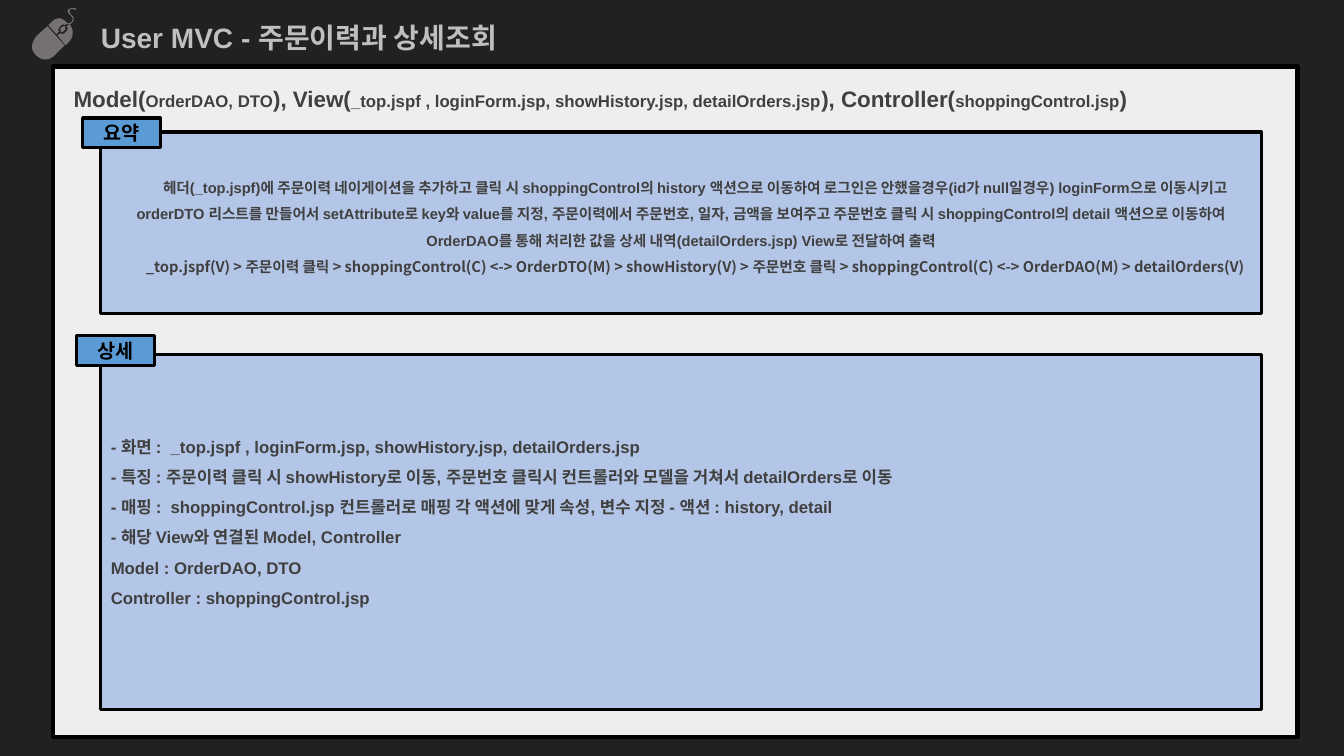
from dataclasses import dataclass

from lxml import etree
from pptx import Presentation
from pptx import util as u
from pptx.dml import color
from pptx.enum import shapes, text
from pptx.oxml import ns


@dataclass(frozen=True)
class Theme:
    background: str = "212121"
    panel: str = "EEEEEE"
    section: str = "B4C6E7"
    tag: str = "5B9BD5"
    outline: str = "000000"
    title: str = "BFBFBF"
    body: str = "404040"
    mouse: str = "767171"
    latin: str = "Arial"
    korean: str = "Noto Sans CJK KR"
    title_size: float = 20
    heading_size: float = 16
    tag_size: float = 14
    body_size: float = 12
    summary_size: float = 10.5


theme = Theme()


def add_run(paragraph, words, size, ink=theme.body, font=theme.latin):
    run = paragraph.add_run()
    run.text = words
    run.font.size = u.Pt(size)
    run.font.bold = True
    run.font.name = font
    run.font.color.rgb = color.RGBColor.from_string(ink)
    east_asian = etree.SubElement(run.font._element, ns.qn("a:ea"))
    east_asian.set("typeface", theme.korean)


def add_box(left, top, width, height, fill, line_width):
    shape = slide.shapes.add_shape(
        shapes.MSO_SHAPE.RECTANGLE,
        u.Inches(left), u.Inches(top), u.Inches(width), u.Inches(height))
    shape.shadow.inherit = False
    shape.fill.solid()
    shape.fill.fore_color.rgb = color.RGBColor.from_string(fill)
    shape.line.color.rgb = color.RGBColor.from_string(theme.outline)
    shape.line.width = u.Pt(line_width)
    shape.text_frame.word_wrap = True
    shape.text_frame.vertical_anchor = text.MSO_ANCHOR.MIDDLE
    return shape


presentation = Presentation()
presentation.slide_width = u.Inches(13.33)
presentation.slide_height = u.Inches(7.5)
slide = presentation.slides.add_slide(presentation.slide_layouts[5])
slide.background.fill.solid()
slide.background.fill.fore_color.rgb = color.RGBColor.from_string(theme.background)

# Title
title = slide.shapes.title
title.left, title.top = u.Inches(0.9), u.Inches(0.11)
title.width, title.height = u.Inches(5.28), u.Inches(0.48)
title.text_frame.vertical_anchor = text.MSO_ANCHOR.TOP
title.text_frame.auto_size = text.MSO_AUTO_SIZE.NONE
paragraph = title.text_frame.paragraphs[0]
paragraph.alignment = text.PP_ALIGN.LEFT
paragraph.line_spacing = 1.14
add_run(paragraph, "User MVC - 주문이력과 상세조회", theme.title_size, theme.title)

# Main panel with the list of files
panel = add_box(0.53, 0.66, 12.34, 6.65, theme.panel, 3)
panel.text_frame.vertical_anchor = text.MSO_ANCHOR.TOP
panel.text_frame.margin_left = u.Inches(0.2)
paragraph = panel.text_frame.paragraphs[0]
paragraph.alignment = text.PP_ALIGN.LEFT
paragraph.line_spacing = 1.5
for words, size in [
    ("Model(", theme.heading_size),
    ("OrderDAO, DTO", theme.body_size),
    ("), View(", theme.heading_size),
    ("_top.jspf , loginForm.jsp, showHistory.jsp, detailOrders.jsp", theme.body_size),
    ("), Controller(", theme.heading_size),
    ("shoppingControl.jsp", theme.body_size),
    (")", theme.heading_size),
]:
    add_run(paragraph, words, size)

# Mouse icon: wheel, body, right button, left button, cable (hundredths of an inch)
mouse_outlines = [
    [(64, 26), (65, 27), (65, 29), (62, 32), (61, 32), (60, 30), (60, 28), (63, 26)],
    [(47, 26), (64, 45), (53, 56), (50, 58), (47, 59), (43, 59), (40, 58), (37, 56),
     (34, 53), (32, 49), (32, 44), (33, 41), (36, 36)],
    [(69, 24), (71, 27), (72, 30), (72, 35), (71, 38), (69, 41), (65, 45), (57, 35),
     (60, 33), (62, 34), (64, 33), (66, 31), (67, 29), (67, 27), (66, 26)],
    [(59, 18), (62, 19), (65, 21), (67, 23), (65, 25), (63, 24), (61, 25), (59, 27),
     (58, 29), (58, 31), (59, 31), (56, 34), (48, 25), (52, 21), (55, 19)],
    [(71, 8), (74, 8), (76, 9), (75, 10), (73, 9), (70, 9), (69, 10), (69, 12),
     (71, 15), (73, 17), (73, 20), (72, 22), (70, 24), (68, 24), (67, 23), (69, 23),
     (71, 22), (72, 20), (72, 18), (70, 15), (68, 13), (67, 11), (68, 9)],
]
builder = slide.shapes.build_freeform(*mouse_outlines[0][0], scale=u.Inches(0.01))
for outline in mouse_outlines:
    builder.move_to(*outline[0])
    builder.add_line_segments(outline[1:], close=True)
mouse = builder.convert_to_shape()
mouse.shadow.inherit = False
mouse.fill.solid()
mouse.fill.fore_color.rgb = color.RGBColor.from_string(theme.mouse)
mouse.line.fill.background()

# Sections: box, tag, text lines with their fonts
summary = [
    ("헤더(_top.jspf)에 주문이력 네이게이션을 추가하고 클릭 시 shoppingControl의 history 액션으로 "
     "이동하여 로그인은 안했을경우(id가 null일경우) loginForm으로 이동시키고 orderDTO 리스트를 "
     "만들어서 setAttribute로 key와 value를 지정, 주문이력에서 주문번호, 일자, 금액을 보여주고 "
     "주문번호 클릭 시 shoppingControl의 detail 액션으로 이동하여 OrderDAO를 통해 처리한 값을 "
     "상세 내역(detailOrders.jsp) View로 전달하여 출력", theme.latin),
    ("_top.jspf(V) > 주문이력 클릭 > shoppingControl(C) <-> OrderDTO(M) > showHistory(V) > "
     "주문번호 클릭 > shoppingControl(C) <-> OrderDAO(M) > detailOrders(V)", theme.korean),
]
details = [(line, theme.latin) for line in [
    "- 화면 :  _top.jspf , loginForm.jsp, showHistory.jsp, detailOrders.jsp",
    "- 특징 : 주문이력 클릭 시 showHistory로 이동, 주문번호 클릭시 컨트롤러와 모델을 거쳐서 "
    "detailOrders로 이동",
    "- 매핑 :  shoppingControl.jsp 컨트롤러로 매핑 각 액션에 맞게 속성, 변수 지정 - 액션 : "
    "history, detail",
    "- 해당 View와 연결된 Model, Controller",
    "Model : OrderDAO, DTO",
    "Controller : shoppingControl.jsp",
]]
sections = [
    ("요약", 0.82, 1.17, 0.29, 1.31, 1.8, summary, theme.summary_size,
     text.PP_ALIGN.CENTER, 0.28, 0.05),
    ("상세", 0.76, 3.33, 0.3, 3.52, 3.52, details, theme.body_size,
     text.PP_ALIGN.LEFT, 0, 0.35),
]
for (label, tag_left, tag_top, tag_height, top, height, lines, size,
     alignment, indent, bottom_margin) in sections:
    section = add_box(1, top, 11.51, height, theme.section, 2.25)
    frame = section.text_frame
    frame.margin_bottom = u.Inches(bottom_margin)
    for index, (words, font) in enumerate(lines):
        paragraph = frame.add_paragraph() if index else frame.paragraphs[0]
        paragraph.alignment = alignment
        paragraph.line_spacing = 1.5
        paragraph._p.get_or_add_pPr().set("indent", str(u.Inches(indent)))
        add_run(paragraph, words, size, font=font)

    tag = add_box(tag_left, tag_top, 0.77, tag_height, theme.tag, 2.25)
    paragraph = tag.text_frame.paragraphs[0]
    paragraph.alignment = text.PP_ALIGN.CENTER
    add_run(paragraph, label, theme.tag_size, theme.outline, theme.korean)

presentation.save("out.pptx")
